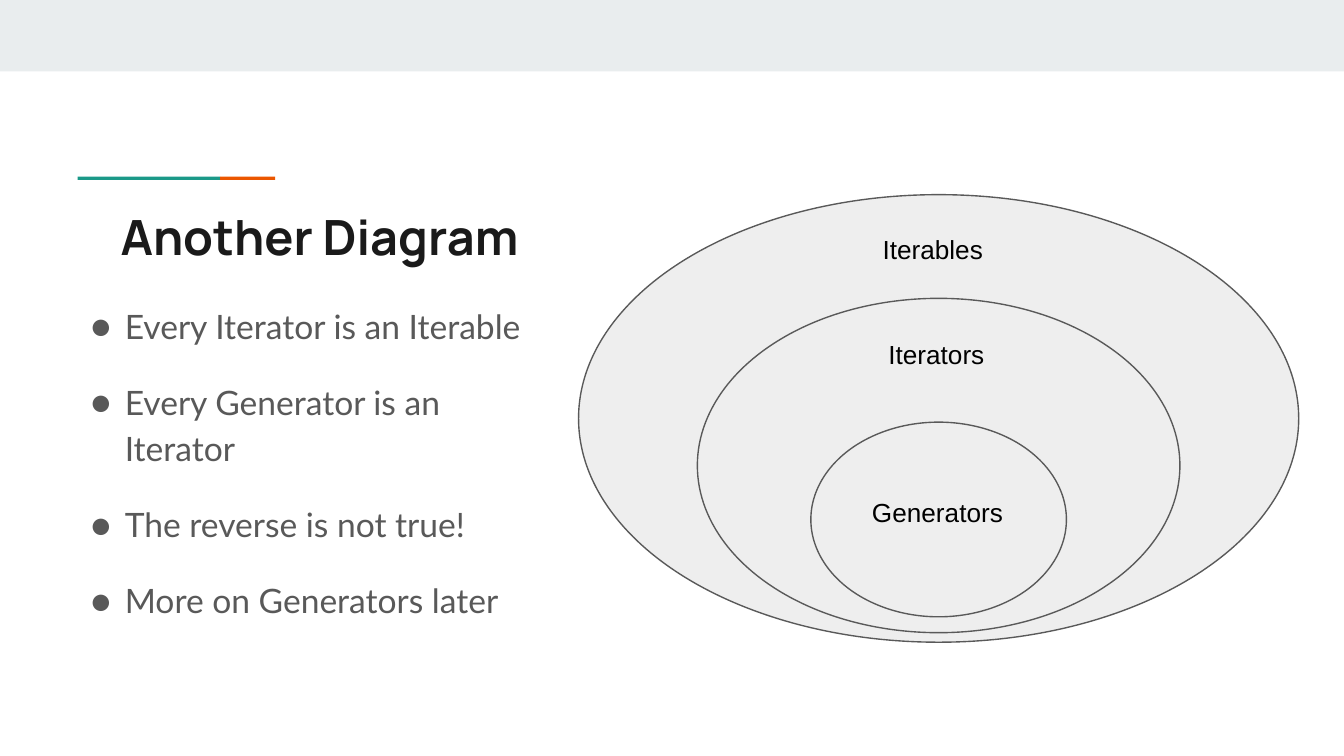
"""Build a slide that nests generators inside iterators inside iterables."""
from dataclasses import dataclass

from lxml.etree import SubElement
from pptx import Presentation
from pptx.dml.color import RGBColor
from pptx.enum.shapes import MSO_SHAPE
from pptx.enum.text import MSO_ANCHOR, PP_ALIGN
from pptx.oxml.ns import qn
from pptx.util import Cm, Pt

TITLE = "Another Diagram"
POINTS = [
    "Every Iterator is an Iterable",
    "Every Generator is an Iterator",
    "The reverse is not true!",
    "More on Generators later",
]
SETS = [
    {"name": "Iterables", "kind": MSO_SHAPE.FLOWCHART_CONNECTOR,
     "top": 3.68, "size": (13.61, 8.46), "label": (16.43, 4.17, 2.59, 0.84)},
    {"name": "Iterators", "kind": MSO_SHAPE.OVAL,
     "top": 5.64, "size": (9.12, 6.32), "label": (16.54, 6.15, 2.59, 0.84)},
    {"name": "Generators", "kind": MSO_SHAPE.OVAL,
     "top": 7.98, "size": (4.83, 3.68), "label": (16.23, 9.14, 3.23, 0.94)},
]
SLIDE_SIZE = (25.4, 14.29)
SETS_CENTER = 17.74
BAND_HEIGHT = 1.35
ACCENT_LEFT, ACCENT_TOP, ACCENT_HEIGHT = 1.47, 3.34, 0.06
TITLE_BOX = (2.03, 3.66, 21.36, 1.5)
POINTS_BOX = (0.84, 5.41, 9.5, 7.65)


@dataclass(frozen=True)
class Theme:
    """Hold the colours, fonts and type sizes of the slide."""
    band: str = "E9EDEE"
    teal: str = "1A9988"
    orange: str = "EB5600"
    oval: str = "EEEEEE"
    gray: str = "595959"
    title: tuple = ("Manrope", 26, "1A1A1A", True)
    body: tuple = ("Lato", 18, "595959", False)
    label: tuple = ("Arial", 14, "000000", False)


THEME = Theme()


def add_filled(slide, kind, box, fill, outline=None):
    """Add a preset shape with a flat fill and an optional outline."""
    shape = slide.shapes.add_shape(kind, *map(Cm, box))
    shape.shadow.inherit = False
    shape.fill.solid()
    shape.fill.fore_color.rgb = RGBColor.from_string(fill)
    if outline:
        shape.line.color.rgb = RGBColor.from_string(outline)
        shape.line.width = Pt(0.75)
    else:
        shape.line.fill.background()


def add_text(slide, box, lines, style):
    """Add a text box with one paragraph per line and return its paragraphs."""
    name, size, color, bold = style
    text_frame = slide.shapes.add_textbox(*map(Cm, box)).text_frame
    text_frame.word_wrap = True
    text_frame.vertical_anchor = MSO_ANCHOR.TOP
    text_frame.margin_left = text_frame.margin_right = Cm(0.25)
    text_frame.margin_top = text_frame.margin_bottom = Cm(0.25)
    text_frame.text = "\n".join(lines)
    for paragraph in text_frame.paragraphs:
        paragraph.alignment = PP_ALIGN.LEFT
        for run in paragraph.runs:
            run.font.name = name
            run.font.size = Pt(size)
            run.font.bold = bold
            run.font.color.rgb = RGBColor.from_string(color)
    return text_frame.paragraphs


def add_bullet(paragraph):
    """Give a paragraph its spacing, hanging indent and round bullet."""
    paragraph.line_spacing = 1.15
    paragraph.space_before = Pt(16)
    properties = paragraph._p.get_or_add_pPr()
    properties.set("marL", str(Cm(1.27)))
    properties.set("indent", str(-Cm(0.64)))
    bullet_color = SubElement(properties, qn("a:buClr"))
    SubElement(bullet_color, qn("a:srgbClr"), val=THEME.gray)
    SubElement(properties, qn("a:buFont"), typeface=THEME.body[0])
    SubElement(properties, qn("a:buChar"), char="●")


def main():
    """Build and save the slide."""
    presentation = Presentation()
    presentation.slide_width, presentation.slide_height = map(Cm, SLIDE_SIZE)
    slide = presentation.slides.add_slide(presentation.slide_layouts[6])

    add_filled(slide, MSO_SHAPE.RECTANGLE, (0, 0, SLIDE_SIZE[0], BAND_HEIGHT), THEME.band)
    left = ACCENT_LEFT
    for width, color in [(2.69, THEME.teal), (1.04, THEME.orange)]:
        add_filled(slide, MSO_SHAPE.RECTANGLE, (left, ACCENT_TOP, width, ACCENT_HEIGHT), color)
        left += width

    add_text(slide, TITLE_BOX, [TITLE], THEME.title)
    for item in SETS:
        width, height = item["size"]
        box = (SETS_CENTER - width / 2, item["top"], width, height)
        add_filled(slide, item["kind"], box, THEME.oval, THEME.gray)
    for item in SETS:
        add_text(slide, item["label"], [item["name"]], THEME.label)
    for paragraph in add_text(slide, POINTS_BOX, POINTS, THEME.body):
        add_bullet(paragraph)

    presentation.save("out.pptx")


if __name__ == "__main__":
    main()
